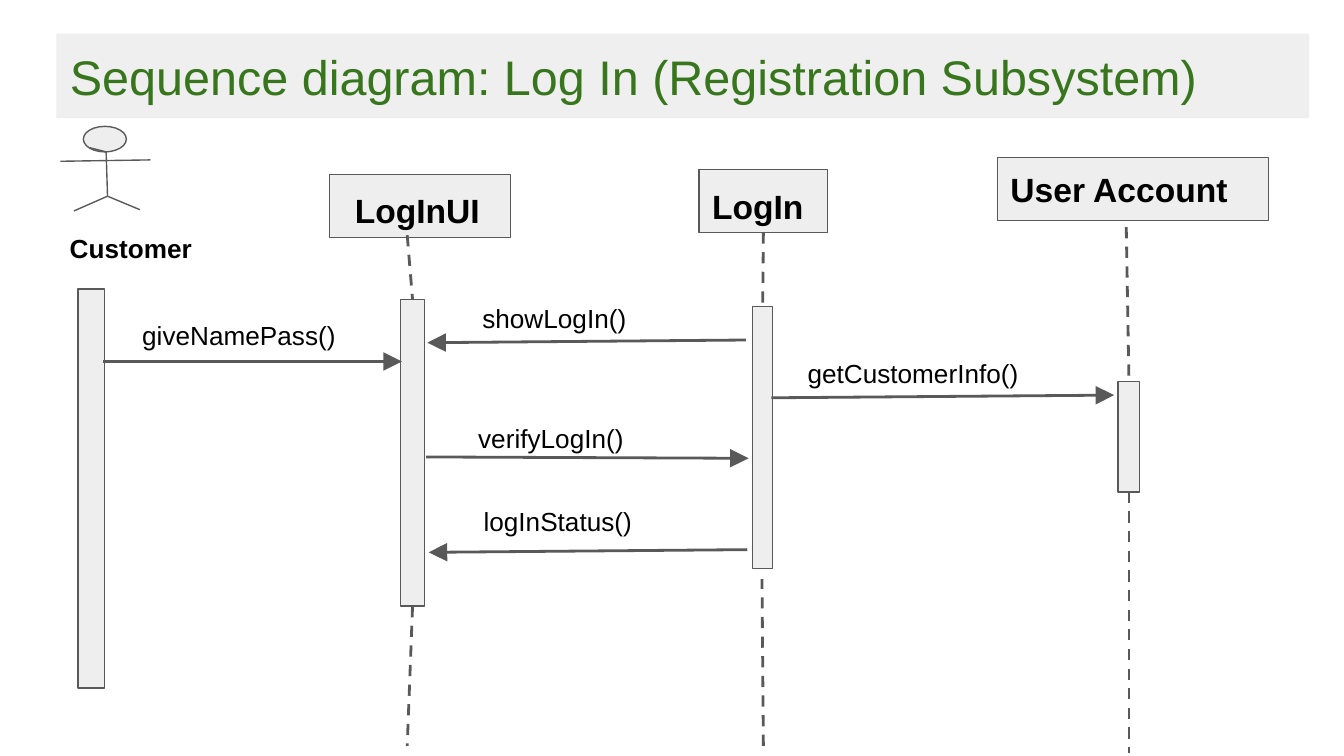
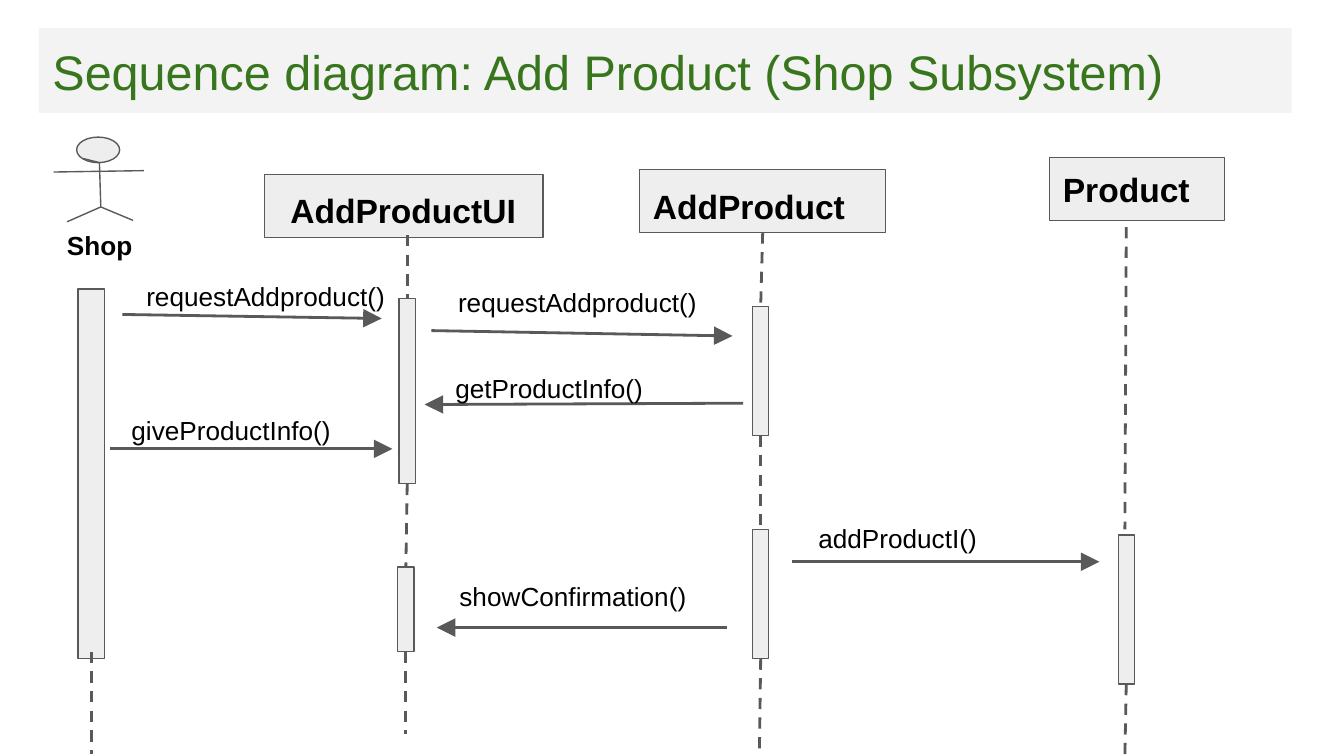
import pptx
import pptx.util
import pptx.dml.color
import pptx.enum.dml
import pptx.enum.shapes
import pptx.enum.text
import pptx.oxml.ns
import lxml.etree
from dataclasses import dataclass

SHAPE = pptx.enum.shapes.MSO_SHAPE
ANCHOR = pptx.enum.text.MSO_ANCHOR
SLIDE_W = 10
SLIDE_H = SLIDE_W * 9 / 16


@dataclass(frozen=True)
class Theme:
    font: str = "Arial"
    title_color: str = "38761D"
    text_color: str = "000000"
    fill: str = "EEEEEE"
    line: str = "595959"
    title_size: float = 26
    header_size: float = 18
    label_size: float = 14
    thin: float = 0.75
    thick: float = 1.5
    inset: float = 0.1
    title_w: float = 9.32
    title_h: float = 0.63
    header_h: float = 0.47
    label_h: float = 0.27


THEME = Theme()

# Header row, the same on both slides: top, left inset, drop of the text
HEADER_ROW = [(1.3, 0.19, 0.03), (1.26, 0.1, 0.04), (1.17, 0.1, 0)]

# Stick figure: head size, then limbs measured from the head's corner
HEAD = (0.32, 0.19)
LIMBS = [
    ((0.17, 0.19), (0.18, 0.52)),
    ((0.05, 0.16), (0.17, 0.19)),
    ((-0.17, 0.26), (0.5, 0.25)),
    ((0.18, 0.52), (-0.07, 0.63)),
    ((0.18, 0.52), (0.42, 0.62)),
]

# headers: name, left, width
# bars: left, top, width, height
# messages: text, label (left, top, width), arrow from, arrow to
# lifelines: from, to
DIAGRAMS = [
    dict(
        title="Sequence diagram: Log In (Registration Subsystem)",
        title_at=(0.42, 0.25), title_fill="EFEFEF",
        head_at=(0.62, 0.94), actor=("Customer", 0.42, 1.63, 1.35),
        headers=[("LogInUI", 2.45, 1.35), ("LogIn", 5.2, 0.96),
                 ("User Account", 7.42, 2.02)],
        bars=[(0.58, 2.15, 0.2, 2.97), (2.98, 2.23, 0.18, 2.28),
              (5.6, 2.28, 0.15, 1.95), (8.32, 2.84, 0.16, 0.82)],
        messages=[
            ("showLogIn()", (3.49, 2.15, 1.83), (5.55, 2.53), (3.18, 2.55)),
            ("giveNamePass()", (0.96, 2.28, 1.83), (0.77, 2.69), (2.99, 2.69)),
            ("getCustomerInfo()", (5.91, 2.56, 2.22), (5.74, 2.96), (8.29, 2.94)),
            ("verifyLogIn()", (3.46, 3.04, 1.83), (3.17, 3.4), (5.57, 3.41)),
            ("logInStatus()", (3.5, 3.66, 2.07), (5.56, 4.09), (3.19, 4.11)),
        ],
        lifelines=[
            ((3.03, 1.75), (3.07, 2.23)), ((3.07, 4.51), (3.03, 5.55)),
            ((5.68, 1.73), (5.67, 2.28)), ((5.68, 5.55), (5.67, 4.31)),
            ((8.38, 1.69), (8.4, 2.84)), ((8.4, 3.66), (8.4, 5.6)),
        ],
    ),
    dict(
        title="Sequence diagram: Add Product (Shop Subsystem)",
        title_at=(0.29, 0.21), title_fill="F3F3F3",
        head_at=(0.57, 1.02), actor=("Shop", 0.4, 1.61, 1.53),
        headers=[("AddProductUI", 1.97, 2.07), ("AddProduct", 4.76, 1.83),
                 ("Product", 7.81, 1.3)],
        bars=[(0.58, 2.15, 0.2, 2.75), (2.97, 2.22, 0.12, 1.38),
              (2.96, 4.22, 0.12, 0.63), (5.6, 2.28, 0.12, 0.96),
              (5.6, 3.94, 0.12, 0.96), (8.32, 3.98, 0.12, 1.11)],
        messages=[
            ("requestAddproduct()", (0.99, 1.99, 2.07), (0.91, 2.34), (2.84, 2.37)),
            ("requestAddproduct()", (3.31, 2.03, 2.07), (3.21, 2.46), (5.45, 2.5)),
            ("getProductInfo()", (3.29, 2.67, 2.1), (5.53, 3), (3.16, 3.01)),
            ("giveProductInfo()", (0.88, 2.98, 1.93), (0.82, 3.34), (2.92, 3.34)),
            ("addProductI()", (5.99, 3.79, 2.07), (5.89, 4.18), (8.18, 4.18)),
            ("showConfirmation()", (3.32, 4.22, 2.1), (5.41, 4.67), (3.25, 4.67)),
        ],
        lifelines=[
            ((3.03, 1.75), (3.03, 2.22)), ((3.03, 3.6), (3.02, 4.22)),
            ((3.02, 4.85), (3.02, 5.46)), ((0.68, 4.85), (0.68, 5.61)),
            ((5.67, 1.73), (5.66, 2.28)), ((5.66, 3.24), (5.65, 3.94)),
            ((5.65, 4.9), (5.65, SLIDE_H)), ((8.38, 1.69), (8.37, 3.94)),
            ((8.37, 5.09), (8.37, SLIDE_H)),
        ],
    ),
]


def inches(*values):
    return [pptx.util.Inches(v) for v in values]


def rgb(value):
    return pptx.dml.color.RGBColor.from_string(value)


def write(sp, text, size, color=THEME.text_color, bold=False,
          anchor=ANCHOR.TOP, insets=(THEME.inset,) * 4):
    """Set one left-aligned line; insets run left, top, right, bottom."""
    tf = sp.text_frame
    tf.text = text
    tf.word_wrap = True
    tf.auto_size = pptx.enum.text.MSO_AUTO_SIZE.NONE
    tf.vertical_anchor = anchor
    tf.margin_left, tf.margin_top, tf.margin_right, tf.margin_bottom = inches(*insets)
    p = tf.paragraphs[0]
    p.alignment = pptx.enum.text.PP_ALIGN.LEFT
    font = p.runs[0].font
    font.name, font.size, font.bold = THEME.font, pptx.util.Pt(size), bold
    font.color.rgb = rgb(color)


def add_box(slide, kind, *at):
    sp = slide.shapes.add_shape(kind, *inches(*at))
    sp.shadow.inherit = False
    sp.fill.solid()
    sp.fill.fore_color.rgb = rgb(THEME.fill)
    sp.line.color.rgb = rgb(THEME.line)
    sp.line.width = pptx.util.Pt(THEME.thin)
    return sp


def add_label(slide, text, left, top, width, bold=False):
    sp = slide.shapes.add_textbox(*inches(left, top, width, THEME.label_h))
    write(sp, text, THEME.label_size, bold=bold)


def add_line(slide, start, end, width, arrow=False, dashed=False):
    cx = slide.shapes.add_connector(
        pptx.enum.shapes.MSO_CONNECTOR.STRAIGHT, *inches(*start, *end))
    cx.line.color.rgb = rgb(THEME.line)
    cx.line.width = pptx.util.Pt(width)
    if dashed:
        cx.line.dash_style = pptx.enum.dml.MSO_LINE.DASH
    qn = pptx.oxml.ns.qn
    sp_pr = cx._element.spPr
    if arrow:
        lxml.etree.SubElement(sp_pr.find(qn("a:ln")), qn("a:tailEnd"),
                              type="triangle", w="lg", len="lg")
    lxml.etree.SubElement(sp_pr, qn("a:effectLst"))
    return cx


def join(connect, point, boxes, tolerance=0.02):
    """Connect a line's end to the top or bottom middle it touches."""
    x, y = inches(*point)
    reach = pptx.util.Inches(tolerance)
    for sp in boxes:
        for site, side in ((0, sp.top), (2, sp.top + sp.height)):
            if abs(sp.left + sp.width / 2 - x) < reach and abs(side - y) < reach:
                connect(sp, site)
                return


def add_title(slide, d):
    sp = slide.shapes.title
    sp.left, sp.top, sp.width, sp.height = inches(
        *d["title_at"], THEME.title_w, THEME.title_h)
    sp.fill.solid()
    sp.fill.fore_color.rgb = rgb(d["title_fill"])
    write(sp, d["title"], THEME.title_size, THEME.title_color)


def add_actor(slide, d):
    x, y = d["head_at"]
    add_box(slide, SHAPE.OVAL, x, y, *HEAD)
    for (x1, y1), (x2, y2) in LIMBS:
        add_line(slide, (x + x1, y + y1), (x + x2, y + y2), THEME.thin)
    add_label(slide, *d["actor"], bold=True)


def add_diagram(prs, d):
    slide = prs.slides.add_slide(prs.slide_layouts[5])
    add_title(slide, d)
    add_actor(slide, d)

    # Participants and their activation bars
    boxes = []
    for (name, left, width), (top, indent, drop) in zip(d["headers"], HEADER_ROW):
        sp = add_box(slide, SHAPE.RECTANGLE, left, top, width, THEME.header_h)
        write(sp, name, THEME.header_size, bold=True, anchor=ANCHOR.MIDDLE,
              insets=(indent, 2 * drop, 0, 0))
        boxes.append(sp)
    boxes += [add_box(slide, SHAPE.RECTANGLE, *bar) for bar in d["bars"]]

    # Lifelines
    for start, end in d["lifelines"]:
        cx = add_line(slide, start, end, THEME.thick, dashed=True)
        join(cx.begin_connect, start, boxes)
        join(cx.end_connect, end, boxes)

    # Messages
    for text, label, start, end in d["messages"]:
        add_line(slide, start, end, THEME.thick, arrow=True)
        add_label(slide, text, *label)


def main():
    prs = pptx.Presentation()
    prs.slide_width, prs.slide_height = inches(SLIDE_W, SLIDE_H)
    for d in DIAGRAMS:
        add_diagram(prs, d)
    prs.save("out.pptx")


if __name__ == "__main__":
    main()
